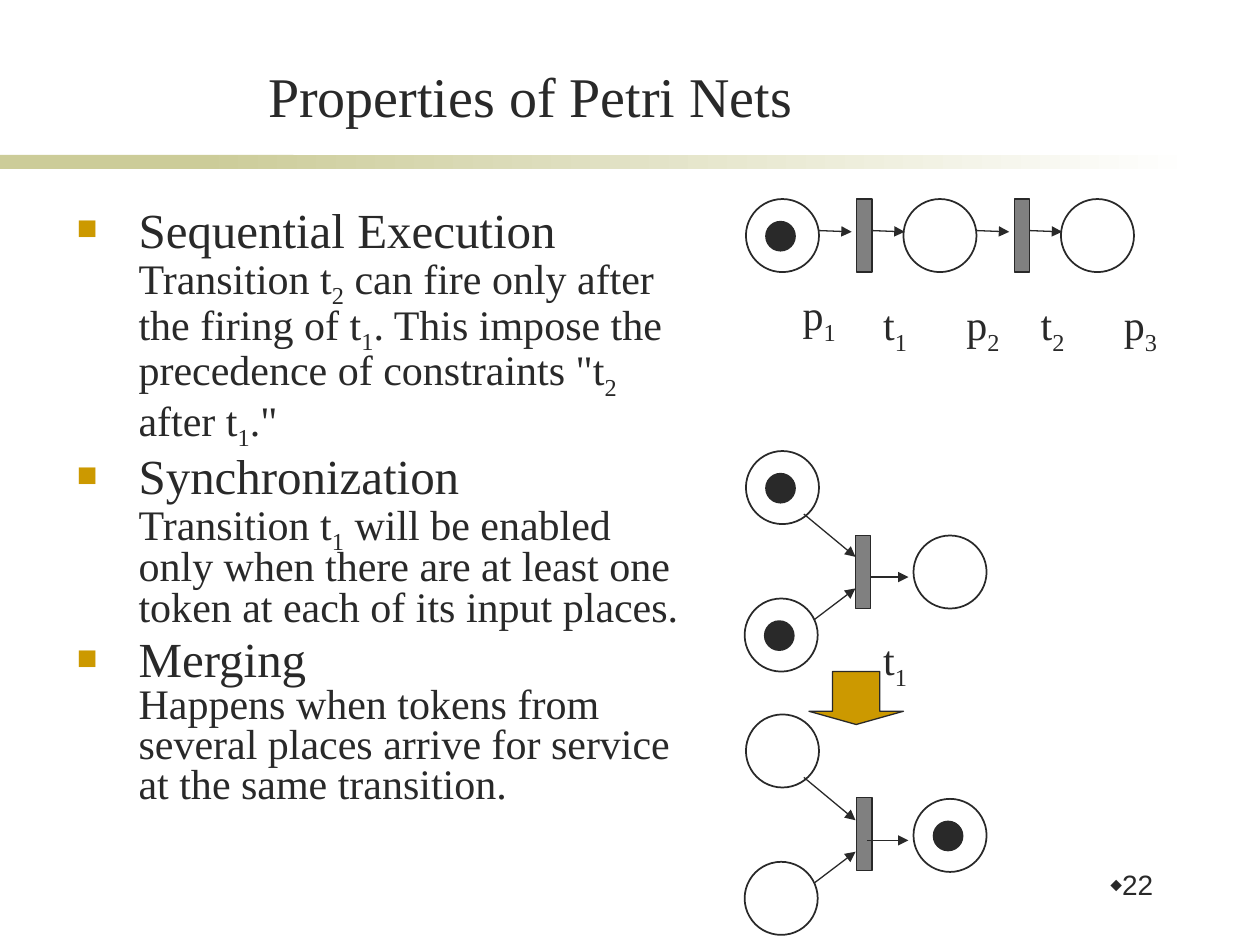
from lxml import etree
from pptx import Presentation
from pptx.dml.color import RGBColor
from pptx.enum.shapes import MSO_CONNECTOR, MSO_SHAPE
from pptx.enum.text import MSO_ANCHOR, MSO_AUTO_SIZE, PP_ALIGN
from pptx.oxml.ns import qn
from pptx.util import Inches, Pt

LINE = MSO_CONNECTOR.STRAIGHT
OVAL, RECT, DOWN = MSO_SHAPE.OVAL, MSO_SHAPE.RECTANGLE, MSO_SHAPE.DOWN_ARROW
TOP, BOTTOM = MSO_ANCHOR.TOP, MSO_ANCHOR.BOTTOM
LEFT, CENTER, RIGHT = PP_ALIGN.LEFT, PP_ALIGN.CENTER, PP_ALIGN.RIGHT
FIXED = MSO_AUTO_SIZE.NONE

INK, GOLD, GRAY, SAGE, WHITE = "292929", "CC9900", "808080", "CCCC99", "FFFFFF"
SERIF, SANS = "Times New Roman", "Arial"
PLACE, TOKEN, BAR = 0.58, 0.23, 0.12

ITEMS = [
    ("Sequential Execution",
     "Transition t_2 can fire only after the firing of t_1. This impose the "
     "precedence of constraints \"t_2 after t_1.\""),
    ("Synchronization",
     "Transition t_1 will be enabled only when there are at least one token "
     "at each of its input places."),
    ("Merging",
     "Happens when tokens from several places arrive for service at the "
     "same transition."),
]


def paint(target, color):
    target.rgb = RGBColor.from_string(color)


def style(target, **values):
    for name, value in values.items():
        setattr(target, name, value)


def move(item, x, y, w, h):
    style(item, left=Inches(x), top=Inches(y),
          width=Inches(w), height=Inches(h))


def write(para, text, size, font=SERIF):
    """Add text in which an underscore lowers the next character."""
    def put(part, low=False):
        if part:
            run = para.add_run()
            style(run, text=part)
            style(run.font, size=Pt(size), name=font)
            paint(run.font.color, INK)
            if low:
                run.font._element.set("baseline", "-25000")

    first, *rest = text.split("_")
    put(first)
    for part in rest:
        put(part[0], True)
        put(part[1:])


def bullet(para, char, color, scale, indent):
    props = para._p.get_or_add_pPr()
    props.set("marL", str(Inches(indent)))
    props.set("indent", str(-Inches(indent)))
    tint = etree.SubElement(props, qn("a:buClr"))
    etree.SubElement(tint, qn("a:srgbClr")).set("val", color)
    etree.SubElement(props, qn("a:buSzPct")).set("val", str(scale * 1000))
    etree.SubElement(props, qn("a:buFont")).set("typeface", SANS)
    etree.SubElement(props, qn("a:buChar")).set("char", char)


def shape(slide, kind, x, y, w, h, fill=None, line=None, width=1):
    item = slide.shapes.add_shape(
        kind, Inches(x), Inches(y), Inches(w), Inches(h))
    item.shadow.inherit = False
    if fill:
        item.fill.solid()
        paint(item.fill.fore_color, fill)
    else:
        item.fill.background()
    if line:
        paint(item.line.color, line)
        item.line.width = Pt(width)
    else:
        item.line.fill.background()
    return item


def place(slide, x, y, token=False):
    shape(slide, OVAL, x, y, PLACE, PLACE, line=INK)
    if token:
        shape(slide, OVAL, x + 0.16, y + 0.18, TOKEN, TOKEN, INK, INK)


def bar(slide, x, y):
    shape(slide, RECT, x, y, BAR, PLACE, GRAY, INK, 0.75)


def arrow(slide, x, y, dx, dy):
    item = slide.shapes.add_connector(
        LINE, Inches(x), Inches(y), Inches(x + dx), Inches(y + dy))
    paint(item.line.color, INK)
    item.line.width = Pt(0.75)
    etree.SubElement(item.line._get_or_add_ln(),
                     qn("a:tailEnd")).set("type", "triangle")
    etree.SubElement(item._element.spPr, qn("a:effectLst"))


def label(slide, x, y, text):
    box = slide.shapes.add_textbox(
        Inches(x), Inches(y), Inches(0.4), Inches(0.42))
    frame = box.text_frame
    style(frame, margin_left=0, margin_right=0, margin_top=0,
          margin_bottom=0, word_wrap=False, vertical_anchor=TOP)
    frame.paragraphs[0].alignment = LEFT
    write(frame.paragraphs[0], text, 24)


def band(slide, x, y, h):
    shape(slide, RECT, x, y, 2.33, h, SAGE)
    fade = shape(slide, RECT, x + 1.58, y, 7.92, h, SAGE)
    fade.fill.gradient()
    fade.fill.gradient_angle = 0
    for stop, color, spot in zip(fade.fill.gradient_stops,
                                 (SAGE, WHITE), (0, 1)):
        paint(stop.color, color)
        stop.position = spot


def title(slide, *box):
    item = slide.shapes.title
    move(item, *box)
    style(item.text_frame, vertical_anchor=BOTTOM, auto_size=FIXED)
    para = item.text_frame.paragraphs[0]
    para.alignment = CENTER
    write(para, "Properties of Petri Nets", 32)


def body(slide, *box):
    item = slide.placeholders[1]
    move(item, *box)
    frame = item.text_frame
    style(frame, auto_size=FIXED, vertical_anchor=TOP)
    for i, (head, text) in enumerate(ITEMS):
        para = frame.add_paragraph() if i else frame.paragraphs[0]
        style(para, line_spacing=0.8, space_before=Pt(5.6), alignment=LEFT)
        bullet(para, "■", GOLD, 70, 0.49)
        write(para, head, 28)
        para.add_line_break()
        write(para, text, 24)
        if i == 0:
            write(para, " ", 28)


def number(slide, x, y, w, h):
    box = slide.shapes.add_textbox(Inches(x), Inches(y), Inches(w), Inches(h))
    box.text_frame.word_wrap = True
    para = box.text_frame.paragraphs[0]
    style(para, alignment=RIGHT, line_spacing=0.9, space_before=Pt(3.2))
    bullet(para, "⬥", INK, 60, 0)
    write(para, "22", 16, SANS)


def chain(slide, x, y):
    """Sequence of three places with two transitions between them."""
    step = 1.25
    for i in range(3):
        left = x + i * step
        place(slide, left, y, token=i == 0)
        drop = 0.71 if i == 0 else 0.79
        label(slide, left + 0.45 + (0.05 if i else 0), y + drop, f"p_{i + 1}")
        if i < 2:
            bar(slide, left + 0.88, y)
            arrow(slide, left + PLACE, y + 0.25, 0.26, 0.01)
            arrow(slide, left + 1, y + 0.25, 0.26, 0.01)
            label(slide, left + 1.09, y + 0.79, f"t_{i + 1}")


def merge(slide, x, y, fired):
    """Two places feeding one transition, before or after it fires."""
    if fired:
        bar(slide, x + 0.89, y + 0.66)
    place(slide, x + 0.01, y, not fired)
    place(slide, x, y + 1.17, not fired)
    place(slide, x + 1.34, y + 0.67, fired)
    arrow(slide, x + 0.47, y + 0.5, 0.41, 0.34)
    arrow(slide, x + 0.55, y + 1.34, 0.33, -0.25)
    arrow(slide, x + 0.97, y + 1, 0.33, 0)
    if not fired:
        bar(slide, x + 0.88, y + 0.67)
        label(slide, x + 1.1, y + 1.45, "t_1")


def main():
    deck = Presentation()
    style(deck, slide_width=Inches(10), slide_height=Inches(7.5))
    slide = deck.slides.add_slide(deck.slide_layouts[1])
    band(slide, 0, 1.23, 0.11)
    title(slide, 1.14, 0.44, 6.14, 0.63)
    body(slide, 0.51, 1.62, 4.99, 4.8)
    number(slide, 8.23, 6.87, 1.02, 0.5)
    chain(slide, 5.92, 1.58)
    down = shape(slide, DOWN, 6.42, 5.33, 0.75, 0.42, GOLD, INK, 0.75)
    down.adjustments[0], down.adjustments[1] = 0.5, 0.25
    merge(slide, 5.91, 3.58, fired=False)
    merge(slide, 5.91, 5.67, fired=True)
    deck.save("out.pptx")


if __name__ == "__main__":
    main()
